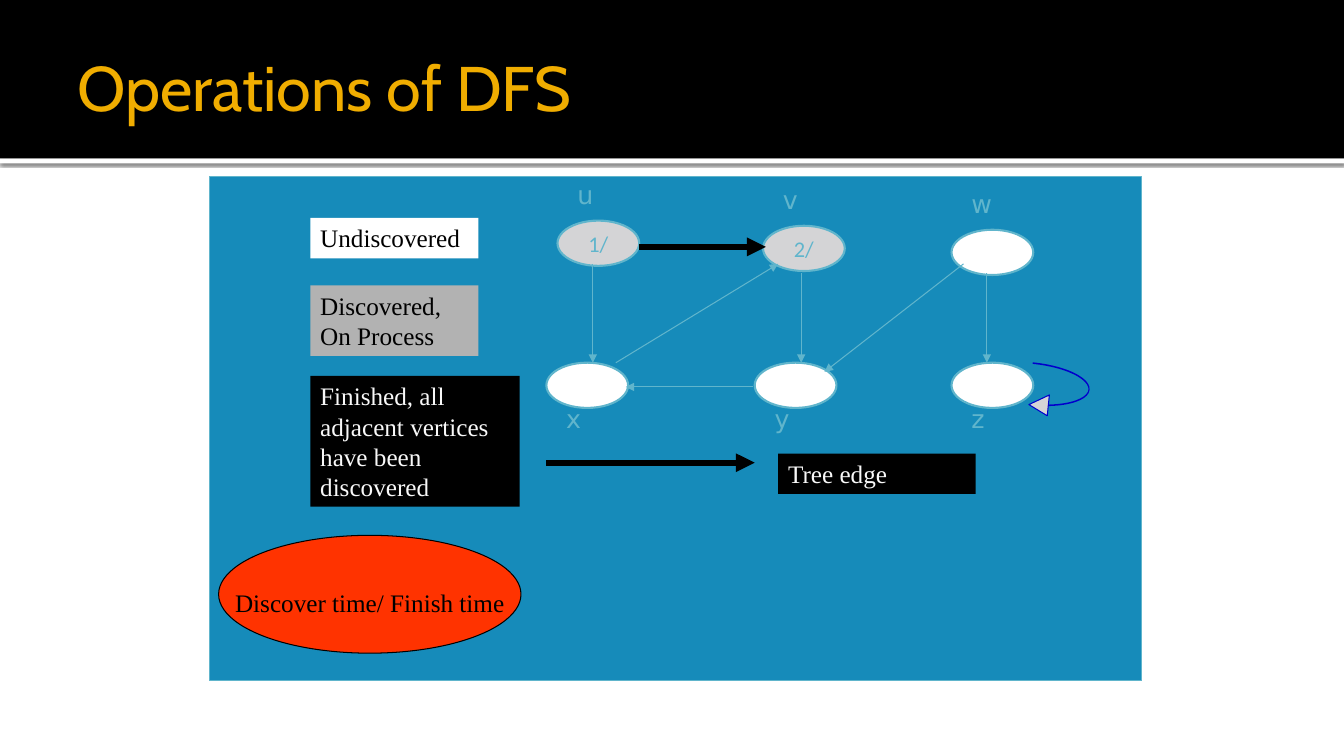
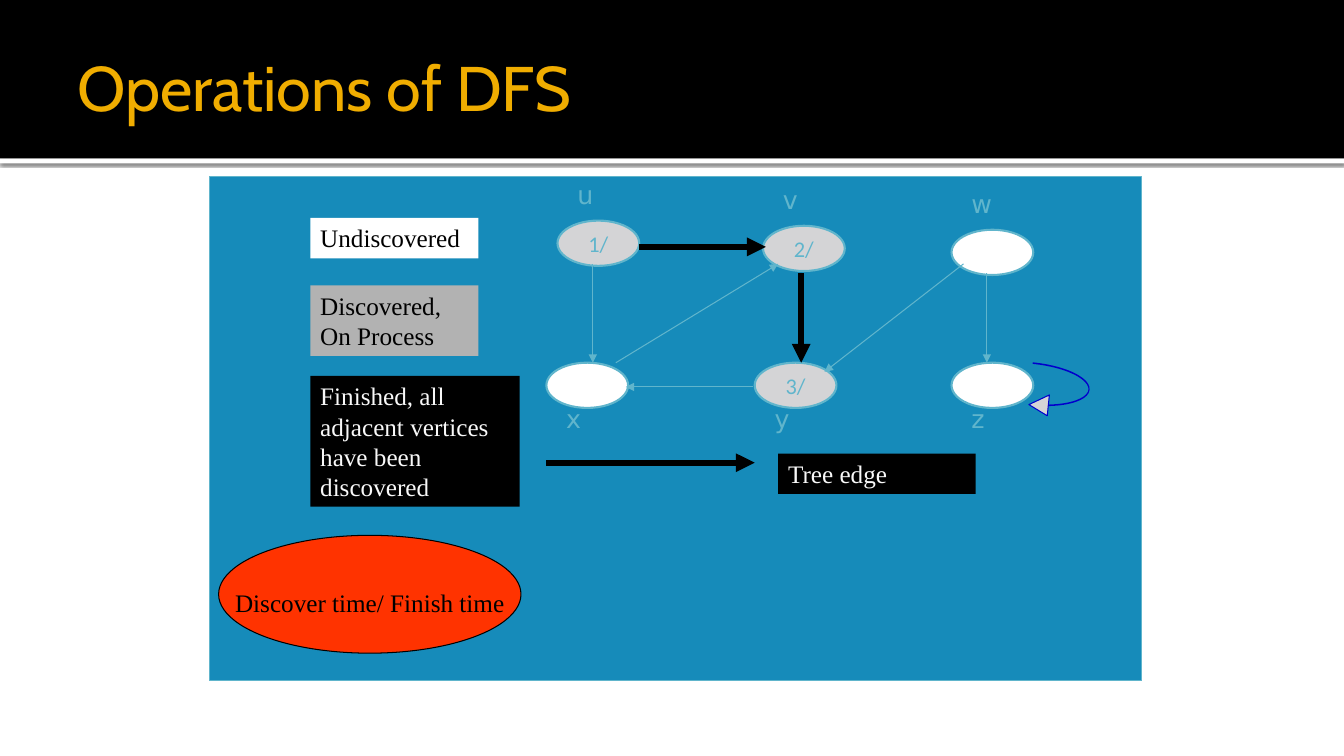
from lxml import etree
from pptx import Presentation
from pptx.dml.color import RGBColor
from pptx.enum.shapes import MSO_CONNECTOR, MSO_SHAPE
from pptx.enum.text import MSO_ANCHOR, PP_ALIGN
from pptx.oxml.ns import qn
from pptx.util import Cm, Pt

RECTANGLE, OVAL = MSO_SHAPE.RECTANGLE, MSO_SHAPE.OVAL
LOOP_ARROW = MSO_SHAPE.CURVED_DOWN_ARROW
STRAIGHT = MSO_CONNECTOR.STRAIGHT
TOP, MIDDLE = MSO_ANCHOR.TOP, MSO_ANCHOR.MIDDLE
LEFT, CENTER = PP_ALIGN.LEFT, PP_ALIGN.CENTER

# Shared look
WIDTH, HEIGHT, HEADER = 33.87, 19.05, 3.99
BLACK, WHITE, OFF_WHITE = "000000", "FFFFFF", "F8F8F8"
GOLD, BLUE, CYAN = "F0AD00", "168BBA", "60B5CC"
GREY, LEGEND_GREY, RED, LOOP_BLUE = "D4D4D6", "B2B2B2", "FF3300", "0000CC"
TITLE_FONT = {"name": "Cabin", "size": Pt(45)}
LABEL_FONT = {"name": "DejaVu Sans", "size": Pt(18)}
TIME_FONT = {"name": "Calibri", "size": Pt(16)}
LEGEND_FONT = {"name": "Times New Roman", "size": Pt(18)}

# Graph: vertex corner, and edge ends
VERTEX_SIZE = (2.06, 1.14)
LOWER_ROW = 9.14
VERTICES = {
    "x": (13.77, LOWER_ROW), "z": (23.98, LOWER_ROW), "y": (19.02, LOWER_ROW),
    "w": (23.98, 5.79), "v": (19.23, 5.69), "u": (14.05, 5.56),
}
EDGES = {
    "uv": (16.1, 6.22, 19.3, 6.22),
    "yx": (18.97, 9.75, 15.77, 9.75),
    "vy": (20.19, 6.88, 20.19, LOWER_ROW),
    "ux": (14.94, 6.65, 14.94, LOWER_ROW),
    "wz": (24.87, 6.88, 24.87, LOWER_ROW),
    "wy": (24.28, 6.65, 20.78, 9.37),
    "xv": (15.52, LOWER_ROW, 19.61, 6.65),
}
LEGEND = [
    ("Undiscovered", (7.82, 5.49, 4.24, 1.02), WHITE, BLACK),
    ("Discovered, On Process", (7.82, 7.19, 4.24, 1.78), LEGEND_GREY, BLACK),
    ("Finished, all adjacent vertices have been discovered",
     (7.82, 9.47, 5.28, 3.3), BLACK, OFF_WHITE),
    ("Tree edge", (19.61, 11.43, 4.98, 1.02), BLACK, OFF_WHITE),
]
# Discovery times and tree edges reached on each slide
STEPS = [
    ({"u": "1/", "v": "2/"}, {"uv"}),
    ({"u": "1/", "v": "2/", "y": "3/"}, {"uv", "vy"}),
]


def color(value):
    return RGBColor.from_string(value)


def set_all(target, values):
    for name, value in values.items():
        setattr(target, name, value)


def add_box(page, kind, place, fill, line=None, weight=0.75):
    box = page.shapes.add_shape(kind, *map(Cm, place))
    box.shadow.inherit = False
    box.fill.solid()
    box.fill.fore_color.rgb = color(fill)
    if line:
        box.line.color.rgb = color(line)
        box.line.width = Pt(weight)
    else:
        box.line.fill.background()
    return box


def write(box, text, font, ink, align=LEFT, anchor=TOP, wrap=True, **margins):
    frame = box.text_frame
    set_all(frame, {"word_wrap": wrap, "vertical_anchor": anchor})
    set_all(frame, {f"margin_{side}": Cm(size) for side, size in margins.items()})
    para = frame.paragraphs[0]
    para.alignment = align
    span = para.add_run()
    span.text = text
    set_all(span.font, font)
    span.font.color.rgb = color(ink)


def add_text(page, place, text, font, ink, **layout):
    box = page.shapes.add_textbox(*map(Cm, place))
    write(box, text, font, ink, **layout)


def add_arrow(page, ends, is_tree):
    arrow = page.shapes.add_connector(STRAIGHT, *map(Cm, ends))
    arrow.line.color.rgb = color(BLACK if is_tree else CYAN)
    arrow.line.width = Pt(4.5 if is_tree else 0.75)
    outline = arrow.line._get_or_add_ln()
    etree.SubElement(outline, qn("a:tailEnd"), type="triangle")
    etree.SubElement(arrow._element.spPr, qn("a:effectLst"))


def add_shadow(box):
    effects = box._element.spPr.find(qn("a:effectLst"))
    shadow = etree.SubElement(effects, qn("a:outerShdw"), blurRad=str(Pt(2.5)),
                              dist=str(Pt(0.8)), dir="5400000", algn="t",
                              rotWithShape="0")
    shade = etree.SubElement(shadow, qn("a:srgbClr"), val=BLACK)
    etree.SubElement(shade, qn("a:alpha"), val="60000")


def add_frame(page, title):
    rule = add_box(page, RECTANGLE, (0, HEADER, WIDTH, 0.13), WHITE)
    add_shadow(rule)
    add_box(page, RECTANGLE, (0, 0, WIDTH, HEADER), BLACK)
    add_box(page, RECTANGLE, (5.28, 4.45, 23.5, 12.7), BLUE, CYAN)
    add_text(page, (1.7, 0.43, 30.48, 3.48), title, TITLE_FONT, GOLD,
             anchor=MIDDLE, left=0.25, right=0.13, top=0.13, bottom=0.13)


def add_vertex(page, name, time):
    left, top = VERTICES[name]
    oval = add_box(page, OVAL, (left, top, *VERTEX_SIZE),
                   GREY if time else WHITE, CYAN, 1.5)
    if time:
        write(oval, time, TIME_FONT, CYAN, align=CENTER, anchor=MIDDLE, wrap=False)
    label_top = top + 0.89 if top == LOWER_ROW else top - 1.17
    add_text(page, (left + 0.05, label_top, VERTEX_SIZE[0], 1.02), name,
             LABEL_FONT, CYAN, left=0.45)


def add_graph(page, times, tree_edges):
    # Self-loop on z
    loop = add_box(page, LOOP_ARROW, (26.04, LOWER_ROW, 1.32, 1.47), GREY, LOOP_BLUE)
    loop.rotation = 95.8
    for index, value in enumerate((0.01, 0.4, 0.37)):
        loop.adjustments[index] = value
    for name in VERTICES:
        add_vertex(page, name, times.get(name))
    for name, ends in EDGES.items():
        add_arrow(page, ends, name in tree_edges)


def add_legend(page):
    add_arrow(page, (13.77, 11.66, 19.02, 11.66), True)
    for text, place, fill, ink in LEGEND:
        write(add_box(page, RECTANGLE, place, fill), text, LEGEND_FONT, ink)
    oval = add_box(page, OVAL, (5.51, 13.49, 7.62, 2.97), RED, BLACK)
    write(oval, "Discover time/ Finish time", LEGEND_FONT, BLACK,
          align=CENTER, anchor=MIDDLE, wrap=False, top=0.53)


def main():
    deck = Presentation()
    set_all(deck, {"slide_width": Cm(WIDTH), "slide_height": Cm(HEIGHT)})
    for times, tree_edges in STEPS:
        page = deck.slides.add_slide(deck.slide_layouts[6])
        add_frame(page, "Operations of DFS")
        add_graph(page, times, tree_edges)
        add_legend(page)
    deck.save("out.pptx")


if __name__ == "__main__":
    main()
